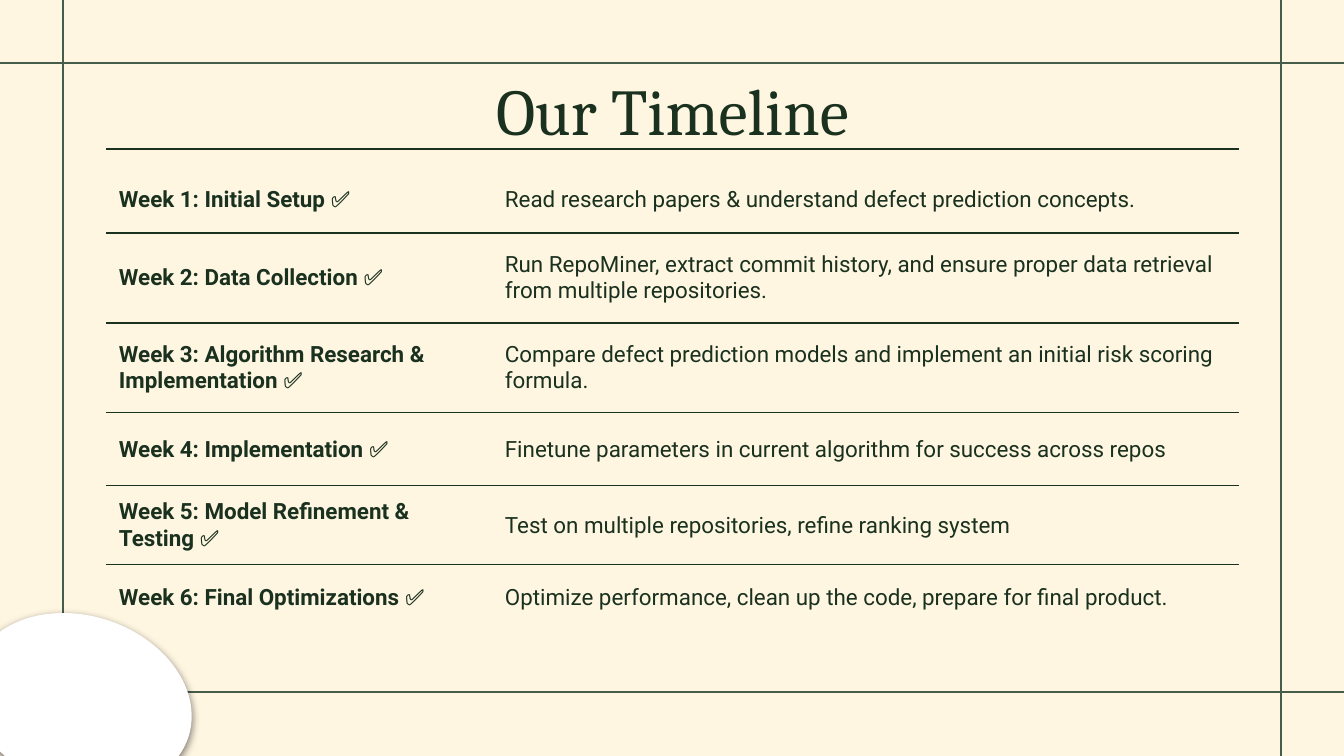
from lxml.etree import SubElement
from pptx import Presentation
from pptx.dml.color import RGBColor
from pptx.enum.shapes import MSO_CONNECTOR as LINE, MSO_SHAPE as SHAPE
from pptx.enum.text import MSO_ANCHOR as ANCHOR, PP_ALIGN as ALIGN
from pptx.oxml import parse_xml
from pptx.oxml.ns import nsdecls, qn
from pptx.util import Pt

TITLE = "Our Timeline"
WEEKS = [
    ("Week 1: Initial Setup ✅",
     "Read research papers & understand defect prediction concepts.", 67),
    ("Week 2: Data Collection ✅",
     "Run RepoMiner, extract commit history, and ensure proper data "
     "retrieval from multiple repositories.", 90),
    ("Week 3: Algorithm Research & Implementation ✅",
     "Compare defect prediction models and implement an initial risk "
     "scoring formula.", 90),
    ("Week 4: Implementation ✅",
     "Finetune parameters in current algorithm for success across repos", 73),
    ("Week 5: Model Refinement & Testing ✅",
     "Test on multiple repositories, refine ranking system", 79),
    ("Week 6: Final Optimizations ✅",
     "Optimize performance, clean up the code, prepare for final product.",
     66),
]
COLS = [386, 747]
COLORS = {"paper": "FFF6E2", "frame": "455C4B", "ink": "19311E",
          "blob": "FFFFFF"}
WIDE, HIGH = 1344, 756
LEFT, TOP, PAD = 106, 166, 13
RULE = Pt(0.75)


def px(n):
    return round(n * 914400 / 134.4)


def rgb(name):
    return RGBColor.from_string(COLORS[name])


def style(item, **values):
    for key, value in values.items():
        setattr(item, key, value)


def add_line(slide, x1, y1, x2, y2, color):
    line = slide.shapes.add_connector(LINE.STRAIGHT, *map(px, (x1, y1, x2, y2)))
    line.line.color.rgb = rgb(color)
    line.line.width = RULE
    SubElement(line._element.spPr, qn("a:effectLst"))


def add_title(slide):
    title = slide.shapes.title
    style(title, left=px(LEFT), top=px(66), width=px(sum(COLS)), height=px(84))
    frame = title.text_frame
    style(frame, text=TITLE, word_wrap=True, vertical_anchor=ANCHOR.TOP,
          margin_left=px(PAD), margin_right=px(PAD),
          margin_top=px(PAD), margin_bottom=px(PAD))
    para = frame.paragraphs[0]
    style(para, alignment=ALIGN.CENTER, line_spacing=0.9)
    style(para.font, name="Cambria", size=Pt(35))
    para.font.color.rgb = rgb("ink")


def set_edges(cell, shown):
    """Draw the sides in shown and hide the others."""
    props = cell._tc.get_or_add_tcPr()
    for i, side in enumerate("LRTB"):
        fill = (f'<a:solidFill><a:srgbClr val="{COLORS["ink"]}"/></a:solidFill>'
                if side in shown else "<a:noFill/>")
        props.insert(i, parse_xml(
            f'<a:ln{side} {nsdecls("a")} w="{RULE}">{fill}</a:ln{side}>'))


def add_weeks(slide):
    highs = [week[2] for week in WEEKS]
    table = slide.shapes.add_table(
        len(WEEKS), len(COLS),
        *map(px, (LEFT, TOP, sum(COLS), sum(highs)))).table
    style(table, first_row=False, horz_banding=False)
    for col, wide in zip(table.columns, COLS):
        col.width = px(wide)
    last = len(WEEKS) - 1
    for r, (*texts, high) in enumerate(WEEKS):
        table.rows[r].height = px(high)
        edges = ("T" if r else "") + ("B" if r < last else "")
        for c, text in enumerate(texts):
            cell = table.cell(r, c)
            style(cell, text=text, vertical_anchor=ANCHOR.MIDDLE,
                  margin_left=px(PAD), margin_right=px(PAD),
                  margin_top=0, margin_bottom=0)
            cell.fill.background()
            set_edges(cell, edges)
            para = cell.text_frame.paragraphs[0]
            if c:
                para.space_after = Pt(16)
            style(para.font, name="Roboto", size=Pt(12), bold=c == 0)
            para.font.color.rgb = rgb("ink")


def add_blob(slide):
    blob = slide.shapes.add_shape(SHAPE.OVAL, *map(px, (-5, 589, 172, 226)))
    blob.rotation = 108
    blob.fill.solid()
    blob.fill.fore_color.rgb = rgb("blob")
    blob.line.fill.background()
    blob._element.spPr.append(parse_xml(
        f'<a:effectLst {nsdecls("a")}><a:outerShdw blurRad="{Pt(4.5)}" '
        f'dist="{Pt(1.5)}" dir="5400000" algn="bl" rotWithShape="0">'
        '<a:srgbClr val="000000"><a:alpha val="50000"/></a:srgbClr>'
        '</a:outerShdw></a:effectLst>'))


def main():
    prs = Presentation()
    style(prs, slide_width=px(WIDE), slide_height=px(HIGH))
    slide = prs.slides.add_slide(prs.slide_layouts[5])
    slide.background.fill.solid()
    slide.background.fill.fore_color.rgb = rgb("paper")
    for x in (63, 1281):
        add_line(slide, x, 0, x, HIGH, "frame")
    for y in (63, 692):
        add_line(slide, 0, y, WIDE, y, "frame")
    add_line(slide, LEFT, 149, LEFT + sum(COLS), 149, "ink")
    add_title(slide)
    add_weeks(slide)
    add_blob(slide)
    prs.save("out.pptx")


if __name__ == "__main__":
    main()
